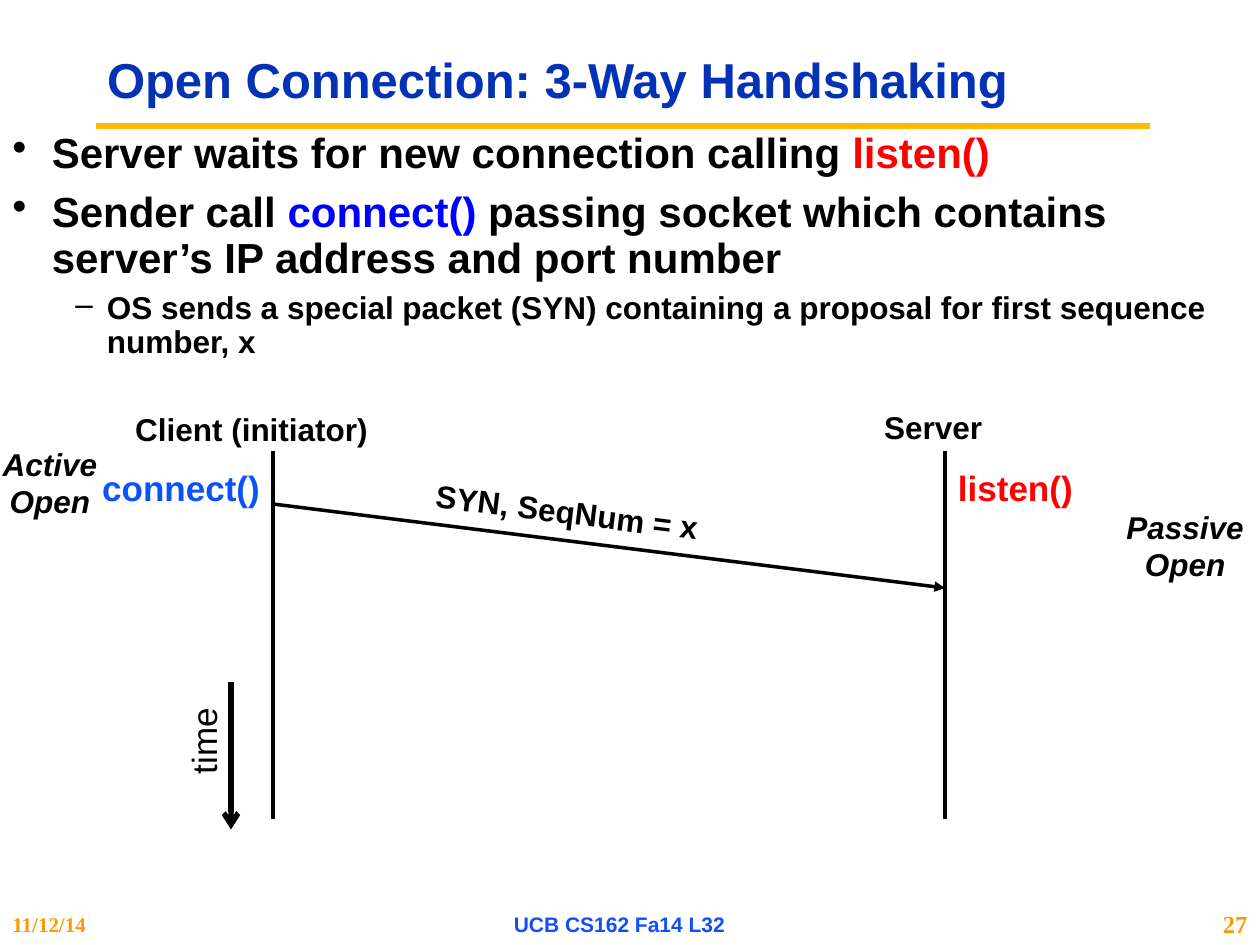
from lxml import etree
from pptx import Presentation
from pptx.dml.color import RGBColor
from pptx.enum.shapes import MSO_CONNECTOR
from pptx.enum.text import MSO_ANCHOR, MSO_AUTO_SIZE, PP_ALIGN
from pptx.oxml.ns import qn
from pptx.util import Pt

LEFT, CENTER, RIGHT = PP_ALIGN.LEFT, PP_ALIGN.CENTER, PP_ALIGN.RIGHT
TOP, MIDDLE = MSO_ANCHOR.TOP, MSO_ANCHOR.MIDDLE
STRAIGHT = MSO_CONNECTOR.STRAIGHT
NO_AUTOFIT = MSO_AUTO_SIZE.NONE

SANS, SERIF = "Arial", "Times New Roman"
BLACK, RED, BLUE = "000000", "FF0000", "0000FF"
NAVY, SKY, GOLD, ORANGE = "0332B7", "0B52FC", "FBBA03", "FF9900"
FOOTER_BLUE = "114FFB"

# Bullet level: character, left margin, hanging indent, size, space before
BULLETS = [("•", 22.5, 22.5, 24, 8), ("–", 54, 18, 18, 6)]


def color(hex_string):
    return RGBColor.from_string(hex_string)


class SlideBuilder:
    def __init__(self, slide):
        self.slide = slide

    def style(self, paragraph, size, hex_color=BLACK, font=SANS, bold=True,
              italic=False, align=LEFT):
        paragraph.alignment = align
        paragraph.font.name = font
        paragraph.font.size = Pt(size)
        paragraph.font.bold = bold
        paragraph.font.italic = italic
        paragraph.font.color.rgb = color(hex_color)

    def title(self, text, left, top, width, height):
        shape = self.slide.shapes.title
        shape.left, shape.top = Pt(left), Pt(top)
        shape.width, shape.height = Pt(width), Pt(height)
        frame = shape.text_frame
        frame.text = text
        frame.auto_size = NO_AUTOFIT
        frame.vertical_anchor = MIDDLE
        paragraph = frame.paragraphs[0]
        paragraph.line_spacing = 0.9
        self.style(paragraph, 28, NAVY)

    def text(self, text, left, top, width, height, size=18, anchor=TOP,
             rotation=0, align=CENTER, **style):
        shape = self.slide.shapes.add_textbox(
            Pt(left), Pt(top), Pt(width), Pt(height))
        shape.rotation = rotation
        frame = shape.text_frame
        frame.word_wrap = False
        frame.vertical_anchor = anchor
        paragraph = frame.paragraphs[0]
        paragraph.text = text
        self.style(paragraph, size, align=align, **style)

    def bullets(self, items, left, top, width, height):
        shape = self.slide.shapes.add_textbox(
            Pt(left), Pt(top), Pt(width), Pt(height))
        frame = shape.text_frame
        frame.word_wrap = True
        for index, (level, runs) in enumerate(items):
            paragraph = frame.add_paragraph() if index else frame.paragraphs[0]
            character, margin, hanging, size, space = BULLETS[level]
            paragraph.level = level
            paragraph.line_spacing = 0.9
            paragraph.space_before = Pt(space if index else 0)
            properties = paragraph._p.get_or_add_pPr()
            properties.set("marL", str(Pt(margin)))
            properties.set("indent", str(-Pt(hanging)))
            etree.SubElement(properties, qn("a:buChar"), char=character)
            self.style(paragraph, size)
            for text, hex_color in runs:
                run = paragraph.add_run()
                run.text = text
                run.font.color.rgb = color(hex_color)

    def line(self, x1, y1, x2, y2, width=2, hex_color=BLACK, arrow=None):
        connector = self.slide.shapes.add_connector(
            STRAIGHT, Pt(x1), Pt(y1), Pt(x2), Pt(y2))
        connector.line.width = Pt(width)
        connector.line.color.rgb = color(hex_color)
        if arrow:
            etree.SubElement(connector.line._get_or_add_ln(),
                             qn("a:tailEnd"), type=arrow)
        etree.SubElement(connector._element.spPr, qn("a:effectLst"))


def main():
    presentation = Presentation()
    presentation.slide_width, presentation.slide_height = Pt(720), Pt(540)
    builder = SlideBuilder(
        presentation.slides.add_slide(presentation.slide_layouts[5]))

    # Title and rule
    builder.line(55, 72, 657, 72, 3.75, GOLD)
    builder.title("Open Connection: 3-Way Handshaking", 54, 18, 606, 58)

    # Explanation
    builder.bullets([
        (0, [("Server waits for new connection calling ", BLACK),
             ("listen()", RED)]),
        (0, [("Sender call ", BLACK), ("connect() ", BLUE),
             ("passing socket which contains server’s IP address "
              "and port number", BLACK)]),
        (1, [("OS sends a special packet (SYN) containing a proposal "
              "for first sequence number, x", BLACK)]),
    ], 0, 72, 702, 162)

    # Client and server timelines
    client_x, server_x = 156, 540
    for x in (client_x, server_x):
        builder.line(x, 258, x, 468)
    builder.text("Client (initiator)", 70, 231, 147.5, 29)
    builder.text("Server", 497.5, 229.5, 71.5, 29)

    # SYN message
    builder.line(client_x, 288, server_x, 336, arrow="triangle")
    builder.text("SYN, SeqNum = x", 240, 278, 168, 29, rotation=7.2)

    # Calls and open states
    builder.text("Active\nOpen", -8, 250.5, 73, 50.5, italic=True)
    builder.text("Passive\nOpen", 634.5, 286.5, 85.5, 50.5, italic=True)
    builder.text("connect()", 51, 263, 105, 31, 20, hex_color=SKY)
    builder.text("listen()", server_x, 263, 80.5, 31, 20, hex_color=RED)

    # Time axis
    builder.text("time", 90, 407.5, 52.5, 31.5, 20, rotation=270,
                 align=LEFT, bold=False)
    builder.line(132, 390, 132, 474, 3, arrow="arrow")

    # Footer
    builder.text("11/12/14", 0, 516, 120, 24, 12, MIDDLE, align=LEFT,
                 hex_color=ORANGE, font=SERIF)
    builder.text("UCB CS162 Fa14 L32", 240, 516, 228, 24, 12, MIDDLE,
                 hex_color=FOOTER_BLUE)
    builder.text("27", 678, 516, 42, 24, 14, MIDDLE, align=RIGHT,
                 hex_color=ORANGE, font=SERIF)

    presentation.save("out.pptx")


if __name__ == "__main__":
    main()
